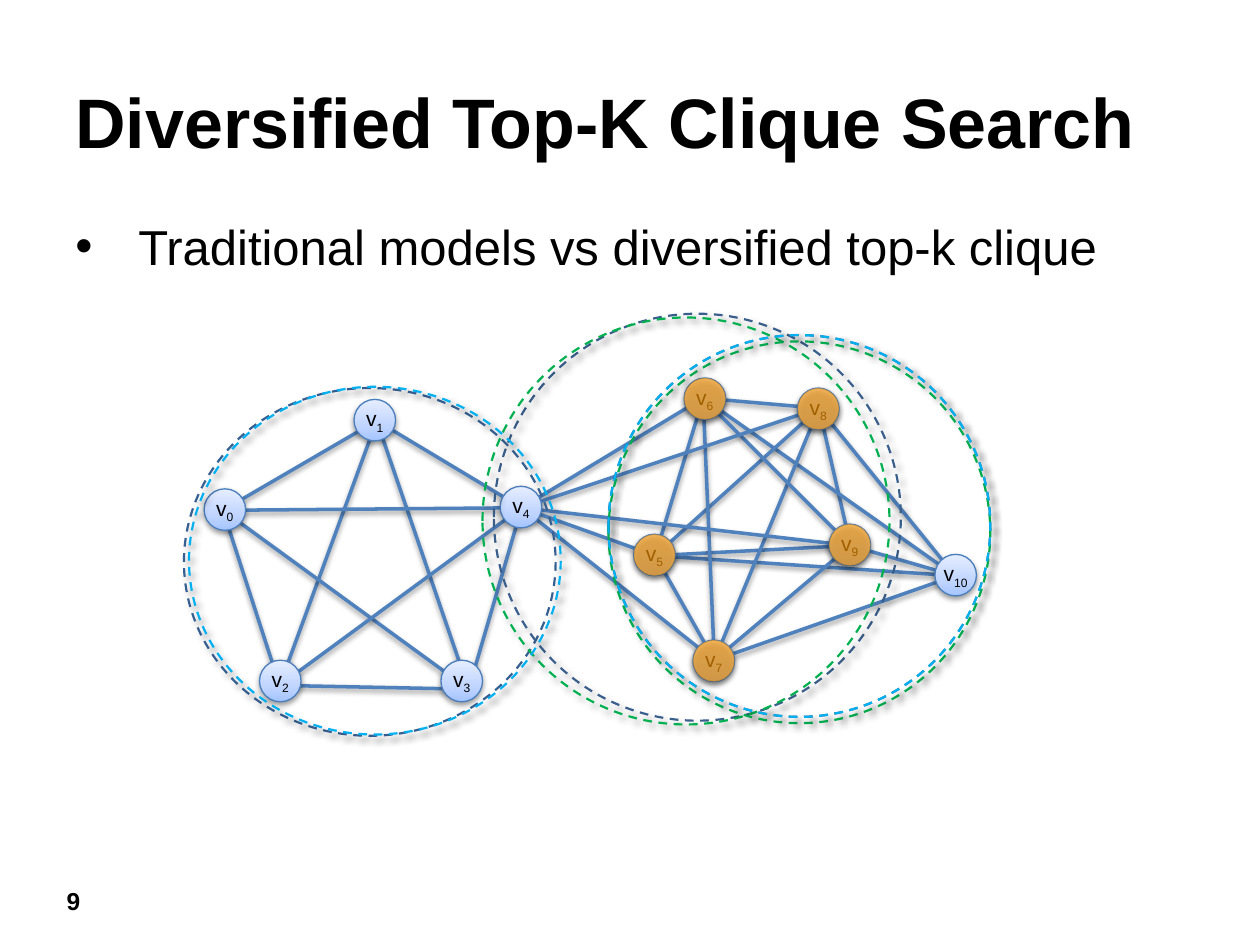
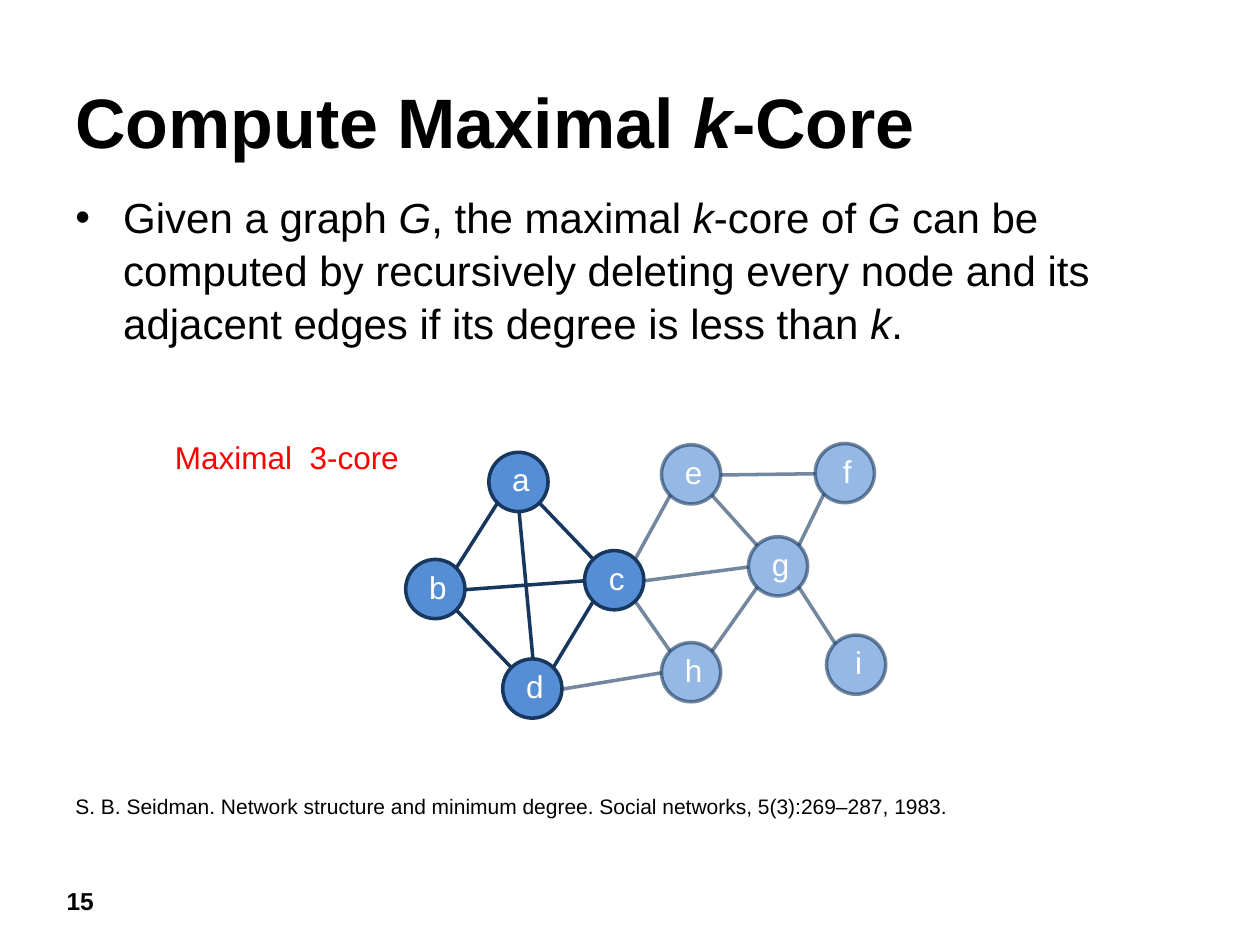
from copy import deepcopy

from lxml.etree import SubElement
from pptx import Presentation
from pptx.dml.color import RGBColor
from pptx.enum.dml import MSO_LINE_DASH_STYLE as Dash
from pptx.enum.shapes import MSO_CONNECTOR, MSO_SHAPE
from pptx.enum.text import MSO_ANCHOR as Anchor, PP_ALIGN as Align
from pptx.oxml.ns import qn
from pptx.util import Pt

PX = 9144  # 100 px to the inch

BLACK = RGBColor(0x00, 0x00, 0x00)
WHITE = RGBColor(0xFF, 0xFF, 0xFF)
RED = RGBColor(0xFF, 0x00, 0x00)
EDGE_BLUE = RGBColor(0x4F, 0x81, 0xBD)
NODE_OUTLINE = RGBColor(0x4B, 0x7E, 0xBC)
NODE_STOPS = [(0, RGBColor(0xA4, 0xC4, 0xFF)),
              (0.35, RGBColor(0xBF, 0xD4, 0xFF)),
              (1, RGBColor(0xE6, 0xEE, 0xFF))]
ORANGE = RGBColor(0xFF, 0x99, 0x00)
SLATE = RGBColor(0x37, 0x60, 0x92)
STEEL = RGBColor(0x3A, 0x5F, 0x8C)
GREEN = RGBColor(0x00, 0xB0, 0x50)
CYAN = RGBColor(0x00, 0xB0, 0xF0)
CORE_FILL = RGBColor(0x55, 0x8E, 0xD5)
CORE_LINE = RGBColor(0x17, 0x37, 0x5E)

# Shadows: opacity in percent, blur and distance in points, direction in degrees
SOFT_SHADOW = (38, 3.1, 1.6, 90)
CIRCLE_SHADOW = (40, 4, 3, 45)


def put_text(shape, text, size=12, color=BLACK, bold=False, align=Align.LEFT,
             anchor=Anchor.TOP, margins=(10, 5, 10, 5), wrap=True,
             bullet_indent=0, space_before=0, line_spacing=None, subscript=False):
    """Write text; parts between bars are italic, or subscript if asked."""
    frame = shape.text_frame
    frame.word_wrap = wrap
    frame.vertical_anchor = anchor
    (frame.margin_left, frame.margin_top,
     frame.margin_right, frame.margin_bottom) = [m * PX for m in margins]
    paragraph = frame.paragraphs[0]
    paragraph.alignment = align
    paragraph.space_before = Pt(space_before)
    if line_spacing:
        paragraph.line_spacing = line_spacing
    if bullet_indent:
        properties = paragraph._p.get_or_add_pPr()
        properties.set("marL", str(bullet_indent * PX))
        properties.set("indent", str(-bullet_indent * PX))
        SubElement(properties, qn("a:buFont"), typeface="Arial")
        SubElement(properties, qn("a:buChar"), char="•")
    for index, part in enumerate(text.split("|")):
        if not part:
            continue
        run = paragraph.add_run()
        run.text = part
        font = run.font
        font.name, font.size, font.bold = "Arial", Pt(size), bold
        font.color.rgb = color
        if index % 2 and subscript:
            run._r.get_or_add_rPr().set("baseline", "-25000")
        elif index % 2:
            font.italic = True


def paint(shape, fill=None, line=None, width=2, dash=None, shadow=None,
          fill_opacity=100, line_opacity=100):
    """Set fill, line, transparency and shadow of a shape or connector."""
    properties = shape._element.spPr
    if isinstance(fill, list):
        shape.fill.gradient()
        shape.fill.gradient_angle = 90
        stops = properties.find(".//" + qn("a:gsLst"))
        stops.insert(1, deepcopy(stops[0]))
        for stop, (position, color) in zip(shape.fill.gradient_stops, fill):
            stop.position, stop.color.rgb = position, color
    elif fill is not None:
        shape.fill.solid()
        shape.fill.fore_color.rgb = fill
    elif hasattr(shape, "fill"):
        shape.fill.background()
    if line is None:
        shape.line.fill.background()
    else:
        shape.line.color.rgb = line
        shape.line.width = Pt(width)
        if dash:
            shape.line.dash_style = dash
    for parent, opacity in ((properties, fill_opacity),
                            (properties.find(qn("a:ln")), line_opacity)):
        if opacity < 100:
            color = parent.find(qn("a:solidFill")).find(qn("a:srgbClr"))
            SubElement(color, qn("a:alpha"), val=str(opacity * 1000))
    effects = SubElement(properties, qn("a:effectLst"))
    if shadow:
        opacity, blur, distance, direction = shadow
        outer = SubElement(effects, qn("a:outerShdw"), blurRad=str(Pt(blur)),
                           dist=str(Pt(distance)), dir=str(direction * 60000),
                           rotWithShape="0")
        color = SubElement(outer, qn("a:srgbClr"), val="000000")
        SubElement(color, qn("a:alpha"), val=str(opacity * 1000))


presentation = Presentation()
presentation.slide_width = 1000 * PX
presentation.slide_height = 750 * PX

# Titles, body bullets and page numbers
pages = [
    dict(number="9", title="Diversified Top-K Clique Search",
         body="Traditional models vs diversified top-k clique",
         top=167, height=55,
         style=dict(size=28, bullet_indent=50, space_before=3)),
    dict(number="15", title="Compute Maximal |k|-Core",
         body="Given a graph |G|, the maximal |k|-core of |G| can be computed by "
              "recursively deleting every node and its adjacent edges if its "
              "degree is less than |k|.",
         top=145, height=189,
         style=dict(size=24, bullet_indent=38, space_before=1, line_spacing=1.05)),
]
slides = []
for page in pages:
    slide = presentation.slides.add_slide(presentation.slide_layouts[6])
    slides.append(slide)
    for text, box, style in (
            (page["number"], (43, 698, 47, 34),
             dict(size=14, bold=True, space_before=1)),
            (page["title"], (50, 52, 900, 87),
             dict(size=40, bold=True, anchor=Anchor.MIDDLE)),
            (page["body"], (50, page["top"], 900, page["height"]), page["style"])):
        put_text(slide.shapes.add_textbox(*[v * PX for v in box]), text, **style)
clique_slide, core_slide = slides

# Clique graph: left and top of each node, then the point where its edges meet
NODE_SIZE = 33
clique_nodes = {
    6: ((543, 300), (558, 316)), 8: ((633, 308), (650, 324)),
    9: ((658, 416), (675, 433)), 10: ((742, 440), (758, 457)),
    7: ((550, 508), (567, 524)), 5: ((503, 424), (520, 441)),
    1: ((281, 317), (299, 334)), 4: ((397, 386), (414, 403)),
    3: ((350, 524), (372, 547)), 2: ((206, 524), (222, 544)),
    0: ((162, 388), (177, 405)),
}
clique_edges = [
    (4, 1), (0, 1), (0, 2), (4, 3), (2, 3), (1, 3), (1, 2), (0, 4), (0, 3), (2, 4),
    (8, 6), (10, 5), (9, 5), (8, 9), (6, 5), (7, 5), (7, 10), (10, 9), (10, 6),
    (7, 8), (10, 8), (5, 8), (6, 7), (6, 9), (7, 9),
    (6, 4), (7, 4), (8, 4), (9, 4), (5, 4),
]
for start, end in clique_edges:
    points = clique_nodes[start][1] + clique_nodes[end][1]
    edge = clique_slide.shapes.add_connector(
        MSO_CONNECTOR.STRAIGHT, *[v * PX for v in points])
    paint(edge, line=EDGE_BLUE, shadow=SOFT_SHADOW)

for name, ((left, top), _) in clique_nodes.items():
    node = clique_slide.shapes.add_shape(
        MSO_SHAPE.FLOWCHART_CONNECTOR, left * PX, top * PX,
        NODE_SIZE * PX, NODE_SIZE * PX)
    paint(node, NODE_STOPS, NODE_OUTLINE, 0.75, shadow=SOFT_SHADOW)
    put_text(node, f"v|{name}|", align=Align.CENTER, anchor=Anchor.MIDDLE,
             margins=(0, 0, 0, 0), wrap=False, subscript=True)

# Dashed circles around the cliques
for left, top, width, height, color in (
        (146, 308, 295, 276, SLATE), (392, 249, 323, 323, STEEL),
        (483, 266, 303, 303, STEEL), (383, 252, 323, 323, GREEN),
        (483, 271, 303, 303, GREEN), (150, 307, 295, 276, CYAN),
        (483, 266, 303, 303, CYAN)):
    circle = clique_slide.shapes.add_shape(
        MSO_SHAPE.OVAL, left * PX, top * PX, width * PX, height * PX)
    paint(circle, line=color, width=1.25, dash=Dash.DASH, shadow=CIRCLE_SHADOW)

# Orange cover on the nodes that the cliques share
for name in (6, 8, 5, 9, 7):
    left, top = clique_nodes[name][0]
    cover = clique_slide.shapes.add_shape(
        MSO_SHAPE.FLOWCHART_CONNECTOR, left * PX, top * PX,
        NODE_SIZE * PX, NODE_SIZE * PX)
    paint(cover, ORANGE, fill_opacity=63, shadow=SOFT_SHADOW)

# Reference and label of the core
reference = core_slide.shapes.add_textbox(50 * PX, 625 * PX, 950 * PX, 30 * PX)
put_text(reference, "S. B. Seidman. Network structure and minimum degree. "
                    "Social networks, 5(3):269–287, 1983.")
label = core_slide.shapes.add_textbox(129 * PX, 343 * PX, 207 * PX, 40 * PX)
put_text(label, "Maximal  3-core", size=18, color=RED, wrap=False)

# Core graph: nodes outside the 3-core are faded
CORE_SIZE = 47
CORE = "abcd"
core_nodes = {
    "h": (525, 510), "d": (399, 523), "a": (388, 359), "b": (322, 444),
    "c": (464, 437), "e": (525, 353), "g": (594, 426), "f": (647, 352),
    "i": (656, 504),
}
for name, (left, top) in core_nodes.items():
    node = core_slide.shapes.add_shape(
        MSO_SHAPE.OVAL, left * PX, top * PX, CORE_SIZE * PX, CORE_SIZE * PX)
    faded = name not in CORE
    paint(node, CORE_FILL, CORE_LINE, fill_opacity=62 if faded else 100,
          line_opacity=60 if faded else 100)
    put_text(node, name, size=18, color=WHITE, align=Align.CENTER,
             anchor=Anchor.MIDDLE, margins=(4, 0, 0, 4), wrap=False)

# Edges run between compass points on the rims of the nodes
compass = {"N": (24, 0), "NE": (40, 7), "E": (47, 24), "SE": (40, 40),
           "S": (24, 47), "SW": (7, 40), "W": (0, 24), "NW": (7, 7)}
core_edges = [
    "a SE c NW", "a SW b NE", "d NW b SE", "c SW d NE", "c W b E", "a S d N",
    "e SW c NE", "c SE h NW", "h W d E", "g W c E", "e SE g NW", "g SW h NE",
    "g SE i NW", "f W e E", "f SW g NE",
]
for edge_name in core_edges:
    start, start_side, end, end_side = edge_name.split()
    points = [(corner + offset) * PX
              for name, side in ((start, start_side), (end, end_side))
              for corner, offset in zip(core_nodes[name], compass[side])]
    edge = core_slide.shapes.add_connector(MSO_CONNECTOR.STRAIGHT, *points)
    inside = start in CORE and end in CORE
    paint(edge, line=CORE_LINE, line_opacity=100 if inside else 60)

presentation.save("out.pptx")
